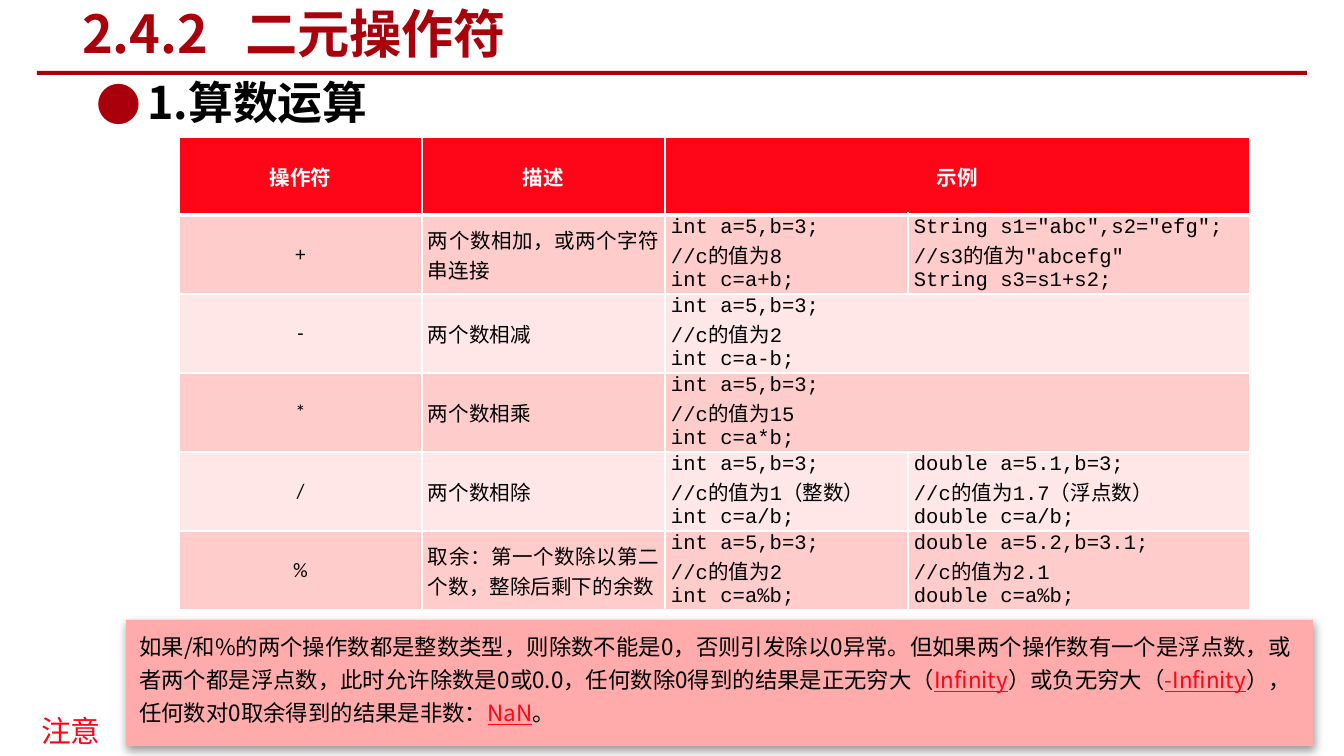
from lxml.etree import SubElement
from pptx import Presentation
from pptx.dml.color import RGBColor
from pptx.enum.shapes import MSO_SHAPE
from pptx.enum.text import MSO_ANCHOR, PP_ALIGN
from pptx.oxml.ns import qn
from pptx.util import Emu, Pt

DARK_RED = RGBColor(0xAA, 0x00, 0x0B)
RED = RGBColor(0xFF, 0x05, 0x17)
PINK = RGBColor(0xFF, 0xCC, 0xCC)
PALE_PINK = RGBColor(0xFF, 0xE7, 0xE8)
NOTE_PINK = RGBColor(0xFF, 0xAA, 0xAB)
BLACK = RGBColor(0, 0, 0)
WHITE = RGBColor(0xFF, 0xFF, 0xFF)
CJK = "Noto Sans CJK SC"
LATIN = "Calibri"
CODE = "Courier New"

# Content
TITLE = "2.4.2\t二元操作符"
HEADING = "1.算数运算"
HEADERS = ["操作符", "描述", "示例"]
# operator, description, one or two code examples
OPERATORS = [
    ("+", "两个数相加，或两个字符串连接",
     ["int a=5,b=3;", "//c的值为8", "int c=a+b;"],
     ['String s1="abc",s2="efg";', '//s3的值为"abcefg"', "String s3=s1+s2;"]),
    ("-", "两个数相减", ["int a=5,b=3;", "//c的值为2", "int c=a-b;"]),
    ("*", "两个数相乘", ["int a=5,b=3;", "//c的值为15", "int c=a*b;"]),
    ("/", "两个数相除",
     ["int a=5,b=3;", "//c的值为1（整数）", "int c=a/b;"],
     ["double a=5.1,b=3;", "//c的值为1.7（浮点数）", "double c=a/b;"]),
    ("%", "取余：第一个数除以第二个数，整除后剩下的余数",
     ["int a=5,b=3;", "//c的值为2", "int c=a%b;"],
     ["double a=5.2,b=3.1;", "//c的值为2.1", "double c=a%b;"]),
]
# every second piece is emphasised
NOTE = (
    "如果/和%的两个操作数都是整数类型，则除数不能是0，否则引发除以0异常。"
    "但如果两个操作数有一个是浮点数，或者两个都是浮点数，此时允许除数是0或0.0，"
    "任何数除0得到的结果是正无穷大（",
    "Infinity", "）或负无穷大（", "-Infinity",
    "），任何数对0取余得到的结果是非数：", "NaN", "。",
)
NOTE_LABEL = "注意"
COLUMN_WIDTHS = [243, 243, 243, 342]
HEADER_HEIGHT, ROW_HEIGHT = 78, 79


def px(count):
    return Emu(round(count * 914400 / 134.4))


def add_node(parent, tag, **attributes):
    return SubElement(parent, qn(tag), {k: str(v) for k, v in attributes.items()})


def write_text(frame, lines, size, font=CJK, color=BLACK, bold=False,
               align=PP_ALIGN.LEFT, spacing=None, bullet=None, indent=0, tab=None):
    """Write each line as a paragraph; a line is a string or a tuple of pieces."""
    for number, line in enumerate(lines):
        para = frame.paragraphs[0] if number == 0 else frame.add_paragraph()
        props = para._p.get_or_add_pPr()
        if bullet:
            props.set("marL", str(px(indent)))
            props.set("indent", str(-px(indent)))
            add_node(add_node(props, "a:buClr"), "a:srgbClr", val=DARK_RED)
            add_node(props, "a:buFont", typeface=CJK)
            add_node(props, "a:buChar", char=bullet)
        if tab:
            add_node(add_node(props, "a:tabLst"), "a:tab", pos=px(tab), algn="l")
        para.alignment = align
        if spacing:
            para.line_spacing = spacing
        pieces = (line,) if isinstance(line, str) else line
        for place, piece in enumerate(pieces):
            emphasised = place % 2 == 1
            span = para.add_run()
            span.text = piece
            span.font.size = Pt(size)
            span.font.name = font
            span.font.bold = bold
            span.font.underline = emphasised
            span.font.color.rgb = RED if emphasised else color
            add_node(span._r.get_or_add_rPr(), "a:ea", typeface=CJK)


def add_box(page, left, top, width, height, lines, size,
            anchor=MSO_ANCHOR.TOP, wrap=True, **text_format):
    box = page.shapes.add_textbox(px(left), px(top), px(width), px(height))
    box.text_frame.word_wrap = wrap
    box.text_frame.vertical_anchor = anchor
    write_text(box.text_frame, lines, size, **text_format)


def add_panel(page, left, top, width, height, fill):
    panel = page.shapes.add_shape(
        MSO_SHAPE.RECTANGLE, px(left), px(top), px(width), px(height))
    panel.shadow.inherit = False
    panel.fill.solid()
    panel.fill.fore_color.rgb = fill
    panel.line.fill.background()
    return panel


def fill_cell(cell, lines, fill, bottom=1, **text_format):
    cell.margin_left = cell.margin_right = px(6)
    cell.margin_top = cell.margin_bottom = 0
    cell.vertical_anchor = MSO_ANCHOR.MIDDLE
    write_text(cell.text_frame, lines, 11, **text_format)
    props = cell._tc.get_or_add_tcPr()
    for side, width in (("L", 1), ("R", 1), ("T", 1), ("B", bottom)):
        border = add_node(props, f"a:ln{side}", w=Pt(width))
        add_node(add_node(border, "a:solidFill"), "a:srgbClr", val=WHITE)
    cell.fill.solid()
    cell.fill.fore_color.rgb = fill


def add_operator_table(page, left, top):
    rows, columns = len(OPERATORS) + 1, len(COLUMN_WIDTHS)
    height = HEADER_HEIGHT + ROW_HEIGHT * len(OPERATORS)
    table = page.shapes.add_table(
        rows, columns, px(left), px(top), px(sum(COLUMN_WIDTHS)), px(height)).table
    for column, width in zip(table.columns, COLUMN_WIDTHS):
        column.width = px(width)
    for number, row in enumerate(table.rows):
        row.height = px(ROW_HEIGHT if number else HEADER_HEIGHT)

    for number, entry in enumerate([HEADERS, *OPERATORS]):
        # a row with one example lets it span the last two columns
        if len(entry) < columns:
            table.cell(number, 2).merge(table.cell(number, 3))
        for place, content in enumerate(entry):
            cell = table.cell(number, place)
            if number == 0:
                fill_cell(cell, [content], RED, bottom=3, font=LATIN,
                          color=WHITE, bold=True, align=PP_ALIGN.CENTER)
                continue
            is_code = isinstance(content, list)
            fill_cell(cell, content if is_code else [content],
                      PINK if number % 2 else PALE_PINK,
                      font=CODE if is_code else LATIN,
                      align=PP_ALIGN.JUSTIFY if place else PP_ALIGN.CENTER)


def add_note(page, left, top, width, height):
    panel = add_panel(page, left, top, width, height, NOTE_PINK)
    effects = panel._element.spPr.find(qn("a:effectLst"))
    shadow = add_node(effects, "a:outerShdw", blurRad=Pt(5), dist=Pt(1.6),
                      dir=90 * 60000, rotWithShape=0)
    add_node(add_node(shadow, "a:srgbClr", val=BLACK), "a:alpha", val=38000)
    panel.text_frame.word_wrap = True
    panel.text_frame.vertical_anchor = MSO_ANCHOR.TOP
    write_text(panel.text_frame, [NOTE], 12, spacing=1.23)


def main():
    deck = Presentation()
    deck.slide_width, deck.slide_height = px(1344), px(756)
    page = deck.slides.add_slide(deck.slide_layouts[6])

    # Title and rule
    add_panel(page, 37, 71, 1270, 4, DARK_RED)
    add_box(page, 69, 3, 712, 60, [TITLE], 28, anchor=MSO_ANCHOR.MIDDLE,
            color=DARK_RED, bold=True, tab=163)
    # Heading
    add_box(page, 83, 52, 1207, 273, [HEADING], 24, bold=True,
            spacing=1.3, bullet="●", indent=51)
    # Operators
    add_operator_table(page, 179, 137)
    # Note
    add_note(page, 126, 620, 1187, 126)
    add_box(page, 28, 706, 87, 50, [NOTE_LABEL], 16, wrap=False, color=RED)

    deck.save("out.pptx")


if __name__ == "__main__":
    main()
